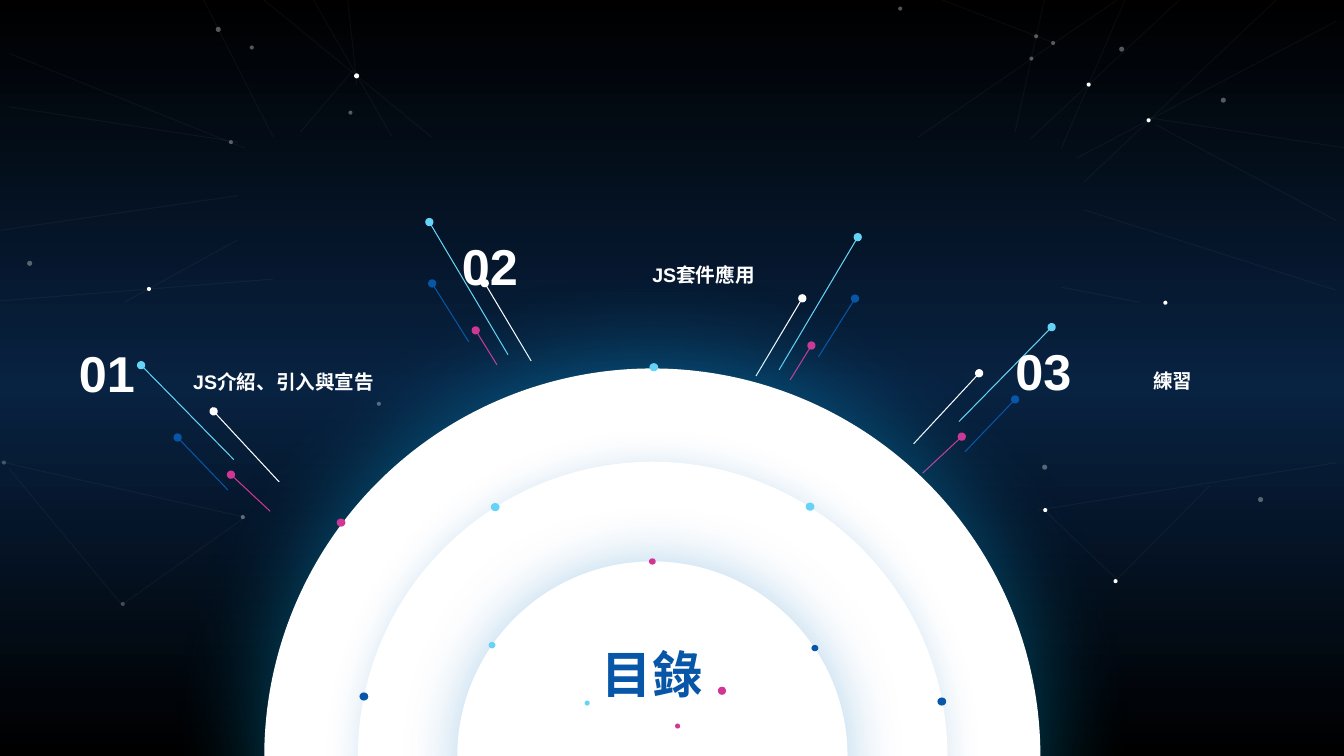
from copy import deepcopy
from typing import NamedTuple, Optional

from lxml import etree
from pptx import Presentation
from pptx.dml.color import RGBColor
from pptx.enum.shapes import MSO_CONNECTOR, MSO_SHAPE
from pptx.enum.text import MSO_AUTO_SIZE, PP_ALIGN
from pptx.oxml.ns import qn
from pptx.util import Pt

OVAL = MSO_SHAPE.OVAL
STRAIGHT = MSO_CONNECTOR.STRAIGHT
CENTER = PP_ALIGN.CENTER
GROW = MSO_AUTO_SIZE.SHAPE_TO_FIT_TEXT

BLACK = RGBColor(0x00, 0x00, 0x00)
NAVY = RGBColor(0x08, 0x22, 0x41)
WHITE = RGBColor(0xFF, 0xFF, 0xFF)
MIST = RGBColor(0xF6, 0xF9, 0xFC)
CYAN = RGBColor(0x65, 0xD3, 0xF6)
BLUE = RGBColor(0x07, 0x56, 0xA7)
PINK = RGBColor(0xD1, 0x36, 0x94)
STAR_GLOW = RGBColor(0x5D, 0xFF, 0xF9)
HALO = RGBColor(0x00, 0xB0, 0xF0)
RING_SHADE = RGBColor(0x00, 0x70, 0xC0)


class Glow(NamedTuple):
    color: RGBColor
    opacity: int
    blur: float
    distance: float = 0
    angle: int = 0


class Line(NamedTuple):
    x1: float
    y1: float
    x2: float
    y2: float


class Ray(NamedTuple):
    color: RGBColor
    line: Line


class Dot(NamedTuple):
    left: float
    top: float
    width: float
    height: float
    color: RGBColor = WHITE
    opacity: int = 100
    glow: Optional[Glow] = None


class Star(NamedTuple):
    left: float
    top: float
    size: float
    opacity: int = 33


class Fan(NamedTuple):
    rays: list[Ray]
    mirror_sum: float
    mirror_drop: float


class Label(NamedTuple):
    text: str
    left: float
    top: float
    width: float
    height: float
    size: int
    color: RGBColor = WHITE


WEB = [
    Line(145.4, 0, 195.1, 97.9), Line(188.6, 0, 308.2, 97.9),
    Line(223.9, 0, 280.1, 97.9), Line(248.4, 0, 254.9, 60.5),
    Line(252, 50.4, 214.6, 94.3), Line(6.5, 38.2, 175, 105.8),
    Line(6.5, 76.3, 169.9, 101.5), Line(-7.2, 165.6, 169.9, 139.7),
    Line(-13.7, 216, 195.1, 199.4), Line(88.6, 216, 169.9, 171.4),
    Line(0, 329.8, 175, 369.4), Line(6.5, 334.8, 87.1, 432),
    Line(87.1, 432, 175, 369.4), Line(673.2, 0, 751.7, 30.2),
    Line(745.9, 0, 725, 94.3), Line(797.8, 0, 655.9, 97.9),
    Line(842.4, 0, 735.8, 99.4), Line(803.5, 0, 758.2, 105.8),
    Line(954.7, 15.1, 769, 113), Line(911.5, 0, 774, 130.3),
    Line(825.8, 89.3, 954.7, 157.7), Line(820.8, 84.2, 961.9, 105.8),
    Line(774, 149.8, 954.7, 207.4), Line(758.2, 205.2, 814.3, 216),
    Line(741.6, 364.3, 954.7, 330.5), Line(745.9, 364.3, 797.8, 414),
    Line(797.8, 414, 864, 347),
]

STARS = [
    Star(252.9, 52.4, 3.6, 100), Star(248.9, 79, 2.9), Star(178.4, 32.5, 2.9),
    Star(154.1, 19.2, 3.6), Star(19.4, 186.3, 3.6), Star(163.5, 100.1, 2.9),
    Star(105, 205, 2.9, 100), Star(269.2, 287, 2.9), Star(172, 367.9, 2.9, 35),
    Star(1.4, 329, 2.9, 24), Star(86.3, 430, 2.9, 24), Star(799.4, 33.3, 3.6),
    Star(641.6, 4.7, 2.9), Star(738.7, 24.5, 2.9), Star(750.8, 29.3, 2.9),
    Star(735.3, 40.4, 2.9), Star(776.2, 59, 2.9, 100), Star(819, 84.5, 2.9, 100),
    Star(872, 69.8, 3.6), Star(831, 214.8, 2.9, 100), Star(744.4, 331.9, 3.6),
    Star(898.6, 355, 3.6), Star(795.4, 413.7, 2.9, 100),
    Star(745.2, 362.9, 2.9, 100),
]

# Each fan is drawn as listed and again reflected: x -> mirror_sum - x.
FANS = [
    Fan([
        Ray(WHITE, Line(152.6, 293.8, 199.4, 344.2)),
        Ray(CYAN, Line(100.8, 260.9, 167, 328.3)),
        Ray(BLUE, Line(126.9, 312.5, 162.7, 349.9)),
        Ray(PINK, Line(165, 339.1, 193, 365.2)),
    ], 852, -27.2),
    Fan([
        Ray(WHITE, Line(346.3, 202.3, 379.4, 257.8)),
        Ray(CYAN, Line(306.7, 158.6, 362.9, 253.4)),
        Ray(BLUE, Line(308.7, 202.5, 334.8, 244.1)),
        Ray(PINK, Line(339.8, 236, 355, 260.6)),
    ], 919.4, 10.8),
]

LABELS = [
    Label("01", 41, 240.5, 70.6, 51.1, 36),
    Label("JS介紹、引入與宣告", 96.5, 260.6, 212.4, 24.5, 14),
    Label("02", 314.6, 164.2, 70.6, 51.1, 36),
    Label("JS套件應用", 370.1, 184.3, 265, 24.5, 14),
    Label("03", 709.9, 239.3, 70.6, 51.1, 36),
    Label("練習", 765.4, 259.9, 144.7, 24.5, 14),
]
TITLE = Label("目錄", 358.6, 456, 214.6, 51.1, 36, BLUE)

RINGS = [
    Dot(188.8, 263.2, 554.4, 554.4, glow=Glow(HALO, 40, 71, 3, 270)),
    Dot(255.6, 329.8, 421.2, 421.2, glow=Glow(RING_SHADE, 16, 25)),
    Dot(326.6, 401, 278.8, 278.8, glow=Glow(RING_SHADE, 31, 42)),
]
BEADS = [
    Dot(349, 458.6, 4.9, 4.5, CYAN), Dot(463.5, 398.8, 4.9, 4.5, PINK),
    Dot(579.6, 460.7, 4.9, 4.5, BLUE), Dot(512.8, 490.5, 5.8, 5.8, PINK),
    Dot(482.2, 516.8, 3.6, 3.6, PINK), Dot(417.6, 500.4, 3.6, 3.6, CYAN),
    Dot(350.6, 359.3, 6.3, 5.8, CYAN), Dot(256.8, 494.6, 6.3, 5.8, BLUE),
    Dot(575.5, 359, 6.3, 5.8, CYAN), Dot(669.6, 498.2, 6.3, 5.8, BLUE),
    Dot(240.5, 370.4, 6.3, 5.8, PINK), Dot(463.9, 259.4, 6.3, 5.8, CYAN),
]


def set_opacity(color_node, percent: int) -> None:
    etree.SubElement(color_node, qn("a:alpha"), val=str(percent * 1000))


def paint_background(page) -> None:
    fill = page.background.fill
    fill.gradient()
    fill.gradient_angle = 270
    stop_list = page.element.find(".//" + qn("a:gsLst"))
    stop_list.insert(1, deepcopy(stop_list[0]))
    for stop, position, color in zip(fill.gradient_stops, (0, 0.51, 1), (BLACK, NAVY, BLACK)):
        stop.position = position
        stop.color.rgb = color


def add_line(page, line: Line, color: RGBColor, opacity: int = 100, knob: bool = False) -> None:
    connector = page.shapes.add_connector(STRAIGHT, *(Pt(value) for value in line))
    connector.line.width = Pt(0.75)
    connector.line.color.rgb = color
    properties = connector.element.spPr
    if opacity < 100:
        set_opacity(properties.find(".//" + qn("a:srgbClr")), opacity)
    if knob:
        etree.SubElement(properties.find(qn("a:ln")), qn("a:headEnd"), type="oval")
    etree.SubElement(properties, qn("a:effectLst"))


def add_dot(page, dot: Dot) -> None:
    shape = page.shapes.add_shape(OVAL, *(Pt(value) for value in dot[:4]))
    shape.fill.solid()
    shape.fill.fore_color.rgb = dot.color
    shape.line.fill.background()
    shape.shadow.inherit = False
    properties = shape.element.spPr
    if dot.opacity < 100:
        set_opacity(properties.find(".//" + qn("a:srgbClr")), dot.opacity)
    if dot.glow:
        shadow = etree.SubElement(
            properties.find(qn("a:effectLst")), qn("a:outerShdw"),
            blurRad=str(Pt(dot.glow.blur)), dist=str(Pt(dot.glow.distance)),
            dir=str(dot.glow.angle * 60000), algn="ctr", rotWithShape="0")
        color = etree.SubElement(shadow, qn("a:srgbClr"), val=str(dot.glow.color))
        set_opacity(color, dot.glow.opacity)


def add_fan(page, fan: Fan) -> None:
    for color, line in fan.rays:
        reflected = Line(fan.mirror_sum - line.x1, line.y1 + fan.mirror_drop,
                         fan.mirror_sum - line.x2, line.y2 + fan.mirror_drop)
        for ray_line in (line, reflected):
            add_line(page, ray_line, color, knob=True)


def add_label(page, label: Label) -> None:
    box = page.shapes.add_textbox(*(Pt(value) for value in label[1:5]))
    box.text_frame.word_wrap = True
    box.text_frame.auto_size = GROW
    para = box.text_frame.paragraphs[0]
    para.alignment = CENTER
    span = para.add_run()
    span.text = label.text
    span.font.name = "Arial"
    span.font.size = Pt(label.size)
    span.font.bold = True
    span.font.color.rgb = label.color


def main() -> None:
    deck = Presentation()
    deck.slide_width, deck.slide_height = Pt(960), Pt(540)
    page = deck.slides.add_slide(deck.slide_layouts[6])
    paint_background(page)
    for line in WEB:
        add_line(page, line, MIST, opacity=4)
    for star in STARS:
        add_dot(page, Dot(star.left, star.top, star.size, star.size,
                          opacity=star.opacity, glow=Glow(STAR_GLOW, 40, 23)))
    for fan in FANS:
        add_fan(page, fan)
    for label in LABELS:
        add_label(page, label)
    for dot in RINGS + BEADS:
        add_dot(page, dot)
    add_label(page, TITLE)
    deck.save("out.pptx")


if __name__ == "__main__":
    main()
